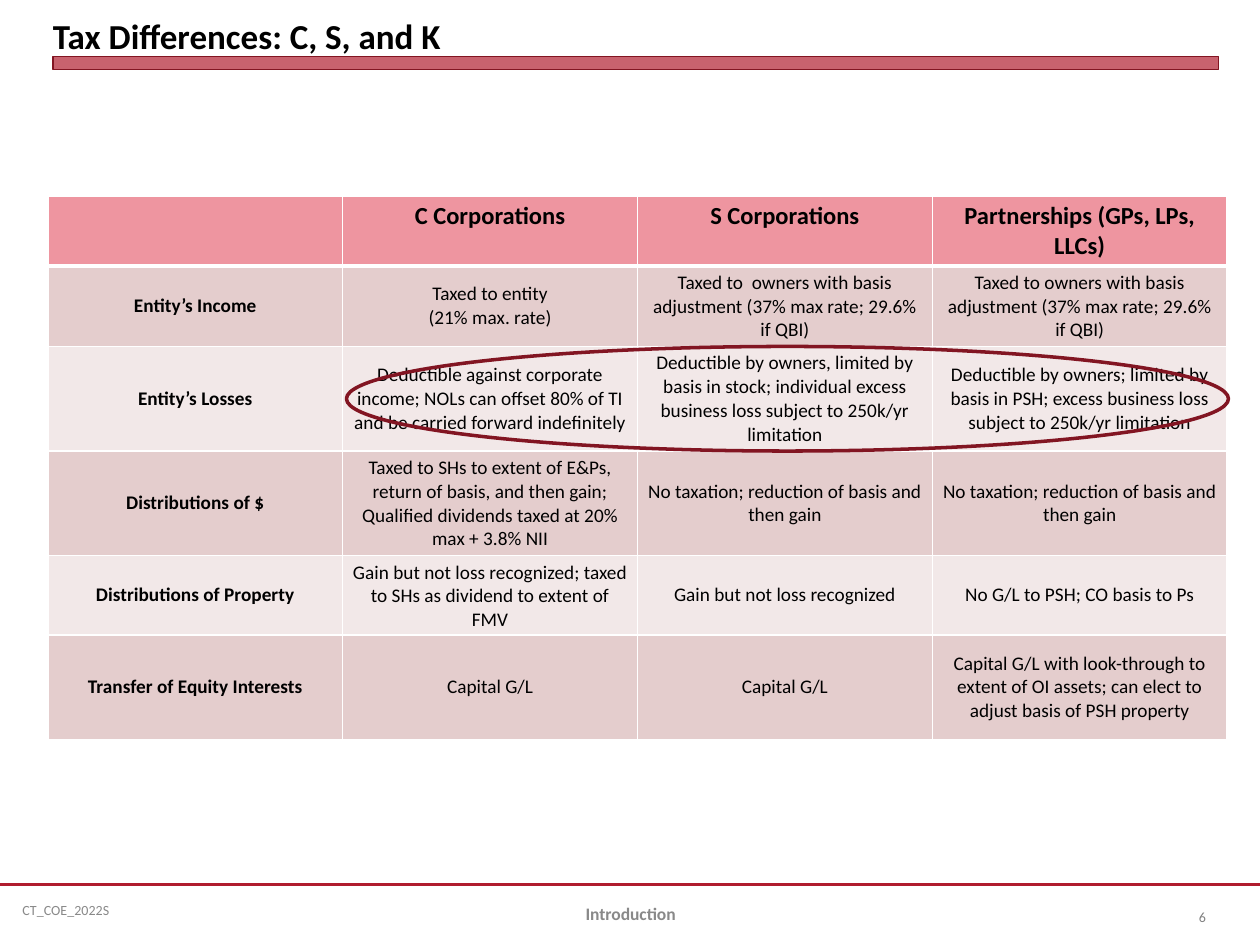
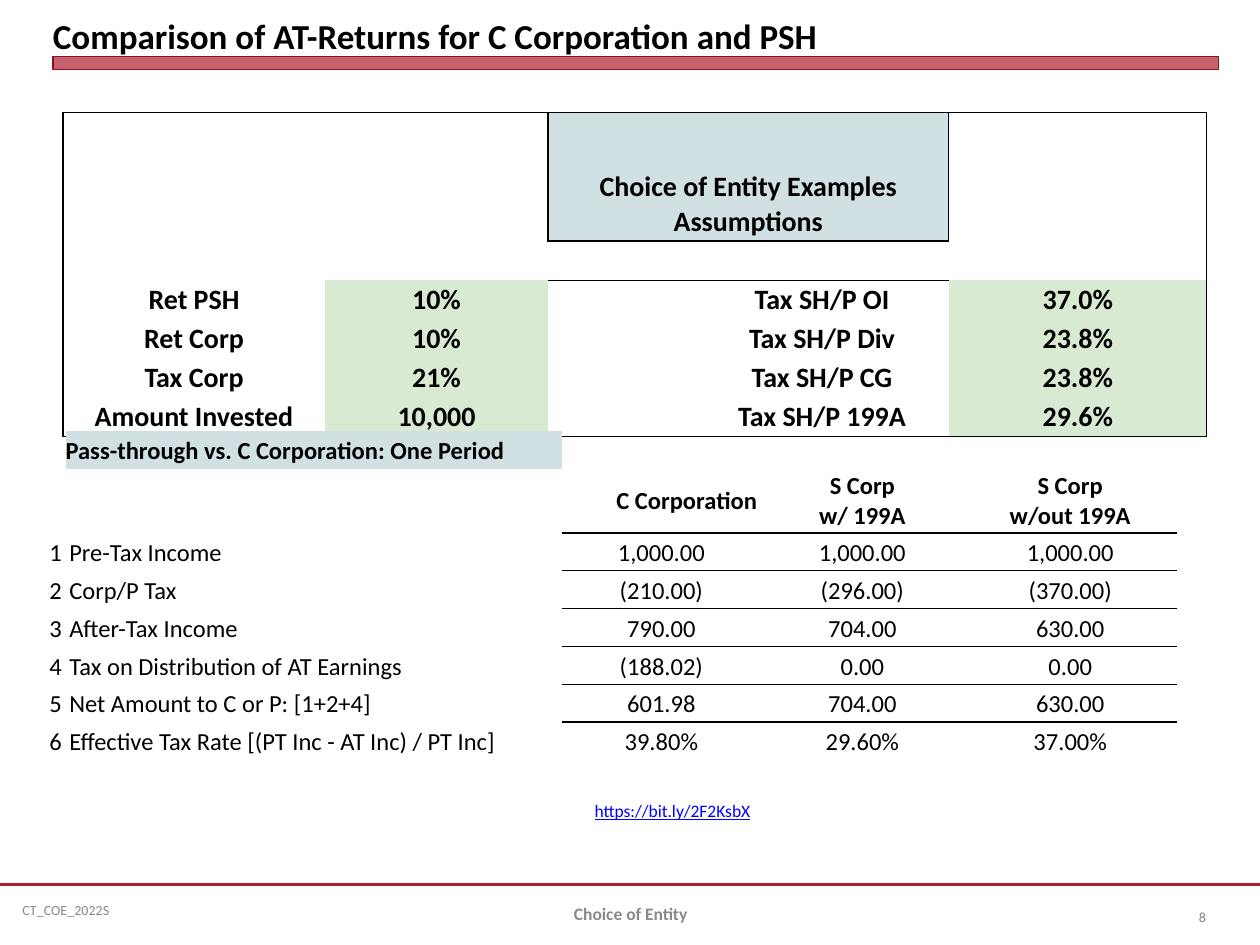
from lxml.etree import SubElement
from pptx import Presentation
from pptx.dml.color import RGBColor
from pptx.enum.shapes import MSO_CONNECTOR as Connector, MSO_SHAPE as Shape
from pptx.enum.text import MSO_ANCHOR as Anchor, PP_ALIGN as Align
from pptx.oxml.ns import qn
from pptx.util import Inches, Pt

WIDTH, HEIGHT = 10, 7.5
MARGIN = 0.42
BODY_WIDTH = 9.25
FONT = "Calibri"
PLAIN_TABLE = "{2D5ABB26-0587-4C30-8999-92F81FD0307C}"
COLORS = {
    "text": "000000", "footer": "898989", "number": "808080", "link": "0000FF",
    "red": "B01C2E", "dark red": "821522", "white": "FFFFFF",
    "header": "EE95A0", "odd row": "E4CDCD", "even row": "F2E8E8",
    "heading": "D0E0E3", "input": "D9EAD3",
}
COURSE = "CT_COE_2022S"

DIFFERENCES = [
    ("", "C Corporations", "S Corporations", "Partnerships (GPs, LPs, LLCs)"),
    ("Entity’s Income", "Taxed to entity\n(21% max. rate)",
     "Taxed to  owners with basis adjustment (37% max rate; 29.6% if QBI)",
     "Taxed to owners with basis adjustment (37% max rate; 29.6% if QBI)"),
    ("Entity’s Losses",
     "Deductible against corporate income; NOLs can offset 80% of TI and be carried forward indefinitely",
     "Deductible by owners, limited by basis in stock; individual excess business loss subject to 250k/yr limitation",
     "Deductible by owners; limited by basis in PSH; excess business loss subject to 250k/yr limitation"),
    ("Distributions of $",
     "Taxed to SHs to extent of E&Ps, return of basis, and then gain; Qualified dividends taxed at 20% max + 3.8% NII",
     "No taxation; reduction of basis and then gain",
     "No taxation; reduction of basis and then gain"),
    ("Distributions of Property",
     "Gain but not loss recognized; taxed to SHs as dividend to extent of FMV",
     "Gain but not loss recognized", "No G/L to PSH; CO basis to Ps"),
    ("Transfer of Equity Interests", "Capital G/L", "Capital G/L",
     "Capital G/L with look-through to extent of OI assets; can elect to adjust basis of PSH property"),
]
DIFFERENCE_COLUMNS = [2.34] * 4
DIFFERENCE_ROWS = [0.55, 0.64, 0.83, 0.83, 0.63, 0.83]

ASSUMPTIONS_HEADING = "Choice of Entity Examples Assumptions"
ASSUMPTIONS = [
    ("Ret PSH", "10%", "", "Tax SH/P OI", "37.0%"),
    ("Ret Corp", "10%", "", "Tax SH/P Div", "23.8%"),
    ("Tax Corp", "21%", "", "Tax SH/P CG", "23.8%"),
    ("Amount Invested", "10,000", "", "Tax SH/P 199A", "29.6%"),
]
ASSUMPTION_COLUMNS = [2.08, 1.77, 1.17, 2.01, 2.05]
ASSUMPTION_ROWS = [0.45] * 2 + [0.31] * 5
INPUT_COLUMNS = (1, 4)

RETURNS_HEADING = "Pass-through vs. C Corporation: One Period"
RETURNS_ENTITIES = ("C Corporation", "S Corp\vw/ 199A", "S Corp\vw/out 199A")
RETURNS = [
    ("Pre-Tax Income", "1,000.00", "1,000.00", "1,000.00"),
    ("Corp/P Tax", "(210.00)", "(296.00)", "(370.00)"),
    ("After-Tax Income", "790.00", "704.00", "630.00"),
    ("Tax on Distribution of AT Earnings", "(188.02)", "0.00", "0.00"),
    ("Net Amount to C or P: [1+2+4]", "601.98", "704.00", "630.00"),
    ("Effective Tax Rate [(PT Inc - AT Inc) / PT Inc]", "39.80%", "29.60%", "37.00%"),
]
RETURNS_COLUMNS = [0.35, 3.62, 0.1, 0.22, 1.58, 1.61, 1.69]
RETURNS_ROWS = [0.3, 0.51] + [0.3] * 6
FIRST_VALUE_COLUMN = 4
RULED_ROWS = (1, 3, 5)
RETURNS_LINK = "https://bit.ly/2F2KsbX"


def color(name):
    return RGBColor.from_string(COLORS[name])


def write(frame, text, size, ink="text", bold=False, align=Align.LEFT, underline=None):
    frame.text = text
    for para in frame.paragraphs:
        para.alignment = align
        for span in para.runs:
            span.font.name = FONT
            span.font.size = Pt(size)
            span.font.bold = bold
            span.font.underline = underline
            span.font.color.rgb = color(ink)
        if not para.runs:
            SubElement(para._p, qn("a:endParaRPr"), sz=str(size * 100))


def add_text(page, area, text, size, anchor=Anchor.MIDDLE, inset=None, wrap=True, **style):
    box = page.shapes.add_textbox(*map(Inches, area))
    frame = box.text_frame
    frame.word_wrap = wrap
    frame.vertical_anchor = anchor
    if inset is not None:
        frame.margin_left = frame.margin_right = Inches(inset)
        frame.margin_top = frame.margin_bottom = Inches(inset)
    write(frame, text, size, **style)


def add_page(deck, title, topic, number):
    page = deck.slides.add_slide(deck.slide_layouts[6])
    line = page.shapes.add_connector(
        Connector.STRAIGHT, 0, Inches(7.02), Inches(WIDTH), Inches(7.02))
    line.line.color.rgb = color("red")
    line.line.width = Pt(1.25)
    SubElement(line._element.spPr, qn("a:effectLst"))
    band = page.shapes.add_shape(
        Shape.RECTANGLE, *map(Inches, (MARGIN, 0.45, BODY_WIDTH, 0.1)))
    band.shadow.inherit = False
    band.fill.solid()
    band.fill.fore_color.rgb = color("red")
    shade = band._element.spPr.find(qn("a:solidFill"))[0]
    SubElement(shade, qn("a:alpha"), val="69000")
    band.line.color.rgb = color("dark red")
    band.line.width = 0
    add_text(page, (MARGIN, 0.05, BODY_WIDTH, 0.4), title, 20,
             anchor=Anchor.BOTTOM, inset=0, bold=True)
    add_text(page, (0.08, 7.02, 2.58, 0.4), COURSE, 8, ink="footer")
    add_text(page, (3.42, 7.05, 3.17, 0.4), topic, 10,
             ink="footer", bold=True, align=Align.CENTER)
    add_text(page, (9.17, 7.08, 0.5, 0.4), number, 8, ink="number", align=Align.RIGHT)
    return page


def add_grid(page, left, top, columns, rows):
    area = map(Inches, (left, top, sum(columns), sum(rows)))
    table = page.shapes.add_table(len(rows), len(columns), *area).table
    table.first_row = table.horz_banding = False
    table._tbl.tblPr.find(qn("a:tableStyleId")).text = PLAIN_TABLE
    for column, width in zip(table.columns, columns):
        column.width = Inches(width)
    for row, height in zip(table.rows, rows):
        row.height = Inches(height)
    return table


def set_cell(cell, text, size, fill=None, edges=None, edge_ink="text",
             anchor=Anchor.BOTTOM, inset=(0.03, 0.02), **style):
    cell.margin_left = cell.margin_right = Inches(inset[0])
    cell.margin_top = cell.margin_bottom = Inches(inset[1])
    cell.vertical_anchor = anchor
    edges = edges or {}
    for side in "LRTB":
        if side in edges:
            line = SubElement(cell._tc.get_or_add_tcPr(), qn("a:ln" + side),
                              w=str(Pt(edges[side])))
            paint = SubElement(line, qn("a:solidFill"))
            SubElement(paint, qn("a:srgbClr"), val=COLORS[edge_ink])
    if fill:
        cell.fill.solid()
        cell.fill.fore_color.rgb = color(fill)
    else:
        cell.fill.background()
    write(cell.text_frame, text, size, **style)


def add_differences(page):
    table = add_grid(page, 0.38, 1.56, DIFFERENCE_COLUMNS, DIFFERENCE_ROWS)
    for r, texts in enumerate(DIFFERENCES):
        header = r == 0
        fill = "header" if header else "odd row" if r % 2 else "even row"
        edges = dict.fromkeys("LRTB", 1)
        if header:
            edges["B"] = 3
        elif r == 1:
            edges["T"] = 3
        for c, text in enumerate(texts):
            set_cell(table.cell(r, c), text, 14 if header else 11, fill, edges, "white",
                     anchor=Anchor.TOP if header else Anchor.MIDDLE, inset=(0.08, 0.04),
                     bold=header or c == 0, align=Align.CENTER)
    ring = page.shapes.add_shape(Shape.OVAL, *map(Inches, (2.75, 2.75, 7, 0.83)))
    ring.shadow.inherit = False
    ring.fill.background()
    ring.line.color.rgb = color("dark red")
    ring.line.width = Pt(2)


def assumption_edges(r, c):
    last_row, last_column = len(ASSUMPTION_ROWS) - 1, len(ASSUMPTION_COLUMNS) - 1
    beside_heading = r < 2
    rules = {
        "L": c == 0 or beside_heading and c in (2, 4),
        "R": c == last_column or beside_heading and c in (1, 3),
        "T": r == 0 or r == 2 and c in (2, 3),
        "B": r == last_row or r == 1 and c in (2, 3),
    }
    return {side: 0.75 for side, drawn in rules.items() if drawn}


def add_assumptions(page):
    table = add_grid(page, 0.5, 0.89, ASSUMPTION_COLUMNS, ASSUMPTION_ROWS)
    first = len(ASSUMPTION_ROWS) - len(ASSUMPTIONS)
    table.cell(0, 2).merge(table.cell(1, 3))
    for r in range(len(ASSUMPTION_ROWS)):
        for c in range(len(ASSUMPTION_COLUMNS)):
            text = ASSUMPTIONS[r - first][c] if r >= first else ""
            fill = "input" if r >= first and c in INPUT_COLUMNS else None
            edges = assumption_edges(r, c)
            if (r, c) == (0, 2):
                text, fill = ASSUMPTIONS_HEADING, "heading"
                edges = dict.fromkeys("LRTB", 0.75)
            set_cell(table.cell(r, c), text, 16, fill, edges,
                     bold=True, align=Align.CENTER)


def add_returns(page):
    table = add_grid(page, 0.17, 3.42, RETURNS_COLUMNS, RETURNS_ROWS)
    rows = [("", RETURNS_HEADING, "", "", ""), ("", "") + RETURNS_ENTITIES]
    rows += [(str(n), *texts) for n, texts in enumerate(RETURNS, 1)]
    for r, (number, label, *values) in enumerate(rows):
        for c, text in enumerate((number, label, "", "", *values)):
            is_value = c >= FIRST_VALUE_COLUMN
            align = Align.CENTER if is_value else Align.LEFT
            if c == 0 or (r, c) == (1, FIRST_VALUE_COLUMN):
                align = Align.RIGHT
            edges = {}
            if is_value and r in RULED_ROWS:
                edges["B"] = 0.75
            if is_value and r - 1 in RULED_ROWS:
                edges["T"] = 0.75
            set_cell(table.cell(r, c), text, 14,
                     "heading" if r == 0 and 0 < c < FIRST_VALUE_COLUMN else None, edges,
                     anchor=Anchor.MIDDLE if r == 1 else Anchor.BOTTOM,
                     inset=(0 if r == 0 else 0.03, 0.02), bold=r < 2, align=align)
    add_text(page, (4.62, 6.3, 1.78, 0.27), RETURNS_LINK, 10, anchor=Anchor.TOP,
             wrap=False, ink="link", underline=True)


def main():
    deck = Presentation()
    deck.slide_width, deck.slide_height = Inches(WIDTH), Inches(HEIGHT)
    add_differences(add_page(deck, "Tax Differences: C, S, and K", "Introduction", "6"))
    page = add_page(deck, "Comparison of AT-Returns for C Corporation and PSH",
                    "Choice of Entity", "8")
    add_assumptions(page)
    add_returns(page)
    deck.save("out.pptx")


if __name__ == "__main__":
    main()
